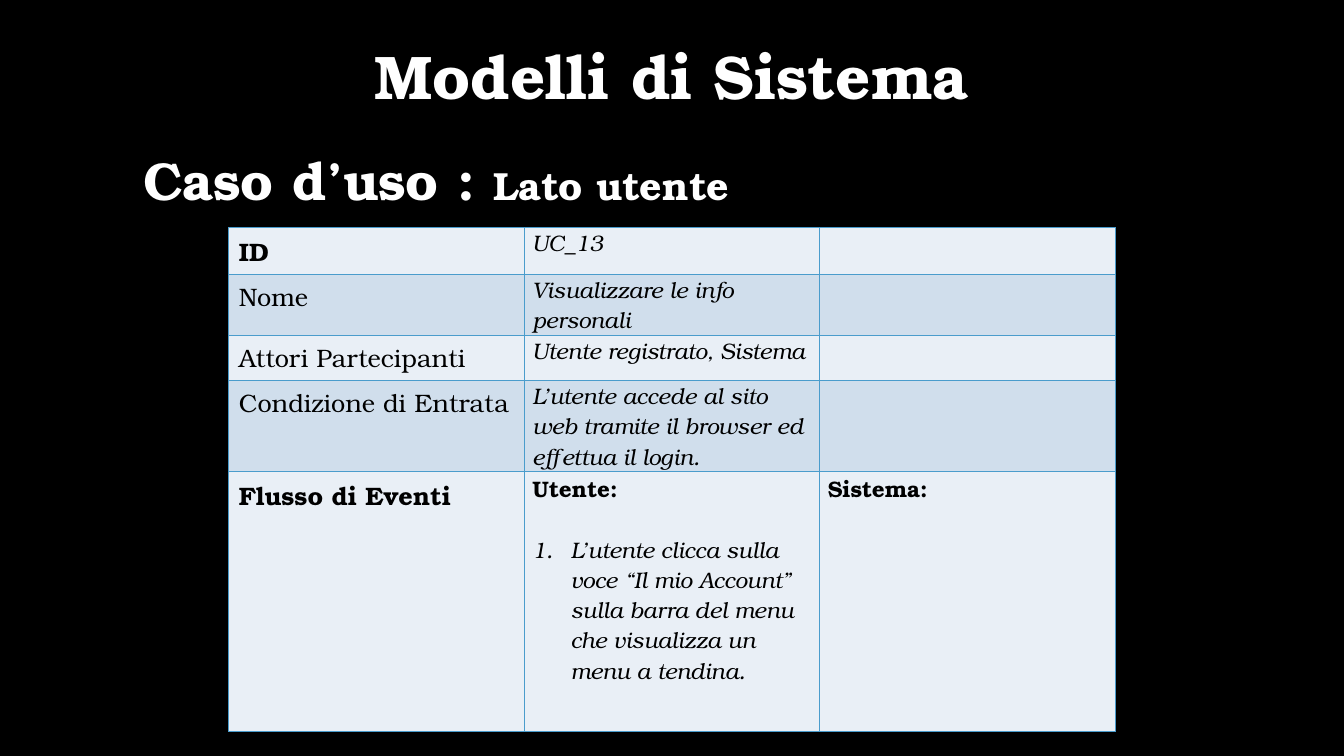
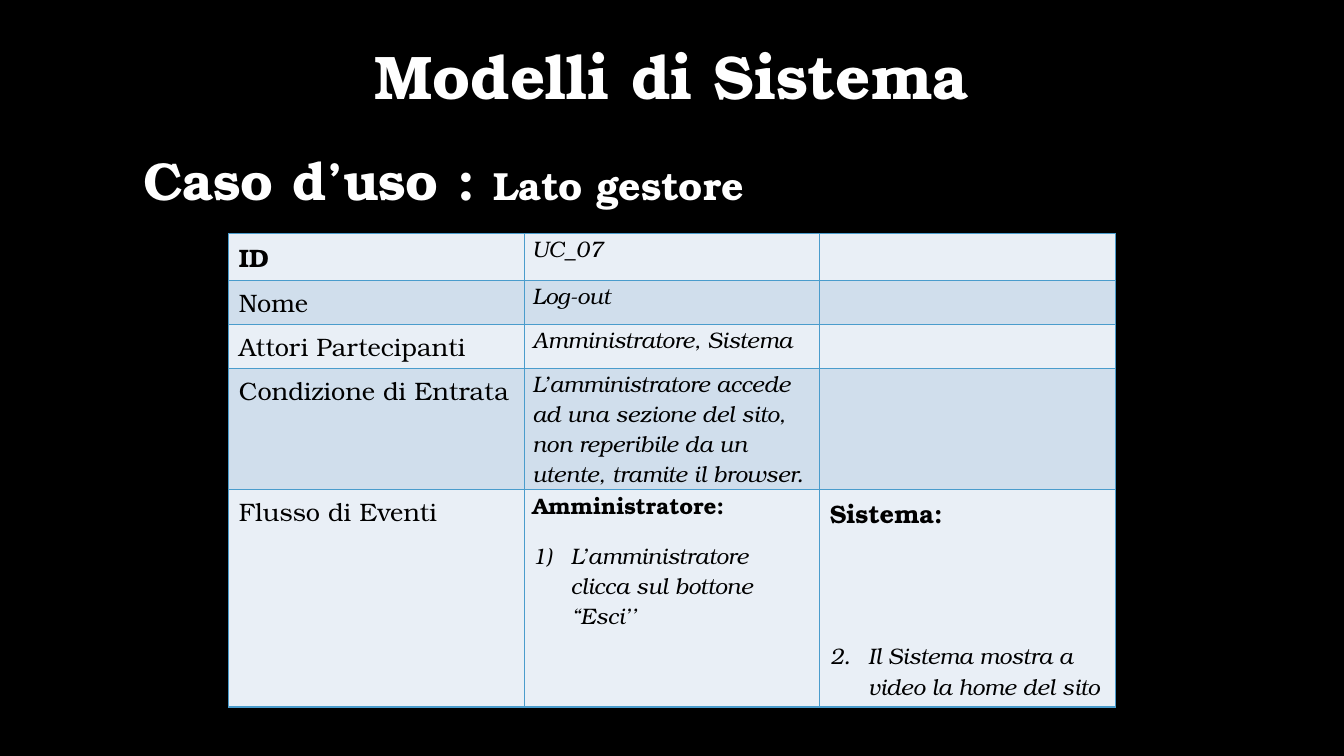
import dataclasses

import lxml.etree
import pptx
import pptx.dml.color
import pptx.enum.text
import pptx.oxml.ns
import pptx.util

Inches = pptx.util.Inches


@dataclasses.dataclass(frozen=True)
class Theme:
    """Colours, font and type sizes shared by the deck."""
    font: str = "TeX Gyre Bonum"
    background: str = "000000"
    heading: str = "FFFFFF"
    text: str = "000000"
    bands: tuple = ("E9EFF6", "D0DEEC")
    border: str = "4A9CCC"
    title_size: int = 44
    case_size: int = 38
    side_size: int = 28
    label_size: int = 18
    value_size: int = 16


@dataclasses.dataclass(frozen=True)
class Line:
    """One paragraph of a table cell."""
    text: str
    size: int
    bold: bool = False
    italic: bool = False
    before: float = 0
    numbering: str = ""
    start: int = 1


@dataclasses.dataclass(frozen=True)
class UseCase:
    """Content of one use case slide."""
    side: str
    values: tuple
    actor_steps: tuple
    system_steps: tuple
    case_height: float
    table_top: float
    row_heights: tuple
    flow_bold: bool = False
    system_inset: bool = False


THEME = Theme()
LABELS = ("ID", "Nome", "Attori Partecipanti", "Condizione di Entrata", "Flusso di Eventi")
TITLE_BOX = (0, 0.41, 13.33, 0.88)
CASE_CORNER = (1.32, 1.48)
CASE_WIDTH = 10.69
TABLE_LEFT = 2.27
COLUMN_WIDTH = 2.93


def colour(code):
    """Return the colour object of a hexadecimal code."""
    return pptx.dml.color.RGBColor.from_string(code)


def paint(fill, code):
    """Make a fill solid in the given colour."""
    fill.solid()
    fill.fore_color.rgb = colour(code)


def style_span(span, size, code, bold=False, italic=False):
    """Format one run of text."""
    font = span.font
    font.name = THEME.font
    font.size = pptx.util.Pt(size)
    font.bold = bold
    font.italic = italic
    font.color.rgb = colour(code)


def style_heading(shape):
    """Give a heading its fill, wrapping, anchor and line spacing."""
    paint(shape.fill, THEME.background)
    frame = shape.text_frame
    frame.word_wrap = True
    frame.auto_size = pptx.enum.text.MSO_AUTO_SIZE.NONE
    frame.vertical_anchor = pptx.enum.text.MSO_ANCHOR.TOP
    frame.paragraphs[0].line_spacing = 0.9


def add_title(page, box):
    """Place the slide title in the given box."""
    title = page.shapes.title
    title.left, title.top, title.width, title.height = map(Inches, box)
    title.text_frame.text = "Modelli di Sistema"
    style_heading(title)
    para = title.text_frame.paragraphs[0]
    para.alignment = pptx.enum.text.PP_ALIGN.CENTER
    style_span(para.runs[0], THEME.title_size, THEME.heading, bold=True)


def add_case_heading(page, box, side):
    """Place the use case heading in the given box."""
    heading = page.shapes.add_textbox(*map(Inches, box))
    style_heading(heading)
    para = heading.text_frame.paragraphs[0]
    for text, size in (("Caso d’uso : ", THEME.case_size), (side, THEME.side_size)):
        span = para.add_run()
        span.text = text
        style_span(span, size, THEME.heading, bold=True)


def number_para(para, numbering, start):
    """Give a paragraph a hanging automatic number."""
    properties = para._p.get_or_add_pPr()
    properties.set("marL", str(Inches(0.38)))
    properties.set("indent", str(Inches(-0.38)))
    bullet = lxml.etree.SubElement(properties, pptx.oxml.ns.qn("a:buAutoNum"))
    bullet.set("type", numbering)
    if start > 1:
        bullet.set("startAt", str(start))


def style_cell(cell, band):
    """Draw the borders and fill of a cell."""
    properties = cell._tc.get_or_add_tcPr()
    for side in ("lnL", "lnR", "lnT", "lnB"):
        line = lxml.etree.SubElement(properties, pptx.oxml.ns.qn(f"a:{side}"), w="12700")
        fill = lxml.etree.SubElement(line, pptx.oxml.ns.qn("a:solidFill"))
        lxml.etree.SubElement(fill, pptx.oxml.ns.qn("a:srgbClr"), val=THEME.border)
    paint(cell.fill, band)


def fill_cell(cell, lines, inset):
    """Write paragraphs into a cell, with narrow margins unless it is inset."""
    if not inset:
        cell.margin_left = cell.margin_right = Inches(0.08)
        cell.margin_top = cell.margin_bottom = 0
    frame = cell.text_frame
    for index, line in enumerate(lines):
        para = frame.add_paragraph() if index else frame.paragraphs[0]
        if line.numbering:
            number_para(para, line.numbering, line.start)
        para.text = line.text
        if line.before:
            para.space_before = pptx.util.Pt(line.before)
        style_span(para.runs[0], line.size, THEME.text, line.bold, line.italic)


def add_case_table(page, case):
    """Place the table that describes a use case."""
    box = (TABLE_LEFT, case.table_top, 3 * COLUMN_WIDTH, sum(case.row_heights))
    table = page.shapes.add_table(len(LABELS), 3, *map(Inches, box)).table
    table.first_row = table.horz_banding = False
    for column in table.columns:
        column.width = Inches(COLUMN_WIDTH)
    for row, height in enumerate(case.row_heights):
        table.rows[row].height = Inches(height)
        for cell in table.rows[row].cells:
            style_cell(cell, THEME.bands[row % 2])
    bolds = (True, False, False, False, case.flow_bold)
    for row, (label, bold) in enumerate(zip(LABELS, bolds)):
        fill_cell(table.cell(row, 0), [Line(label, THEME.label_size, bold)], True)
    for row, value in enumerate(case.values):
        fill_cell(table.cell(row, 1), [Line(value, THEME.value_size, italic=True)], False)
    flow = len(LABELS) - 1
    fill_cell(table.cell(flow, 1), case.actor_steps, False)
    fill_cell(table.cell(flow, 2), case.system_steps, case.system_inset)


def add_case_slide(deck, case):
    """Add one use case slide."""
    page = deck.slides.add_slide(deck.slide_layouts.get_by_name("Title Only"))
    add_title(page, TITLE_BOX)
    add_case_heading(page, (*CASE_CORNER, CASE_WIDTH, case.case_height), case.side)
    add_case_table(page, case)


CASES = (
    UseCase(
        side="Lato utente",
        values=(
            "UC_13",
            "Visualizzare le info personali",
            "Utente registrato, Sistema",
            "L’utente accede al sito web tramite il browser ed effettua il login.",
        ),
        actor_steps=(
            Line("Utente:", THEME.value_size, bold=True),
            Line("L’utente clicca sulla voce “Il mio Account” sulla barra del menu "
                 "che visualizza un menu a tendina.", THEME.value_size, italic=True,
                 before=21.6, numbering="arabicPeriod"),
        ),
        system_steps=(Line("Sistema:", THEME.value_size, bold=True),),
        case_height=5.78,
        table_top=2.26,
        row_heights=(0.46, 0.6, 0.45, 0.9, 2.58),
        flow_bold=True,
    ),
    UseCase(
        side="Lato gestore",
        values=(
            "UC_07",
            "Log-out",
            "Amministratore, Sistema",
            "L’amministratore accede ad una sezione del sito, non reperibile da un "
            "utente, tramite il browser.",
        ),
        actor_steps=(
            Line("Amministratore:", THEME.value_size, bold=True),
            Line("L’amministratore clicca sul bottone “Esci’’", THEME.value_size,
                 italic=True, before=13, numbering="arabicParenR"),
        ),
        system_steps=(
            Line("Sistema:", THEME.label_size, bold=True),
            Line("Il Sistema mostra a video la home del sito", THEME.value_size,
                 italic=True, before=78.5, numbering="arabicPeriod", start=2),
        ),
        case_height=5.67,
        table_top=2.32,
        row_heights=(0.46, 0.43, 0.43, 1.2, 2.16),
        system_inset=True,
    ),
)


def main():
    """Build and save the deck."""
    deck = pptx.Presentation()
    deck.slide_width, deck.slide_height = Inches(13.33), Inches(7.5)
    paint(deck.slide_master.background.fill, THEME.background)
    for case in CASES:
        add_case_slide(deck, case)
    deck.save("out.pptx")


if __name__ == "__main__":
    main()
